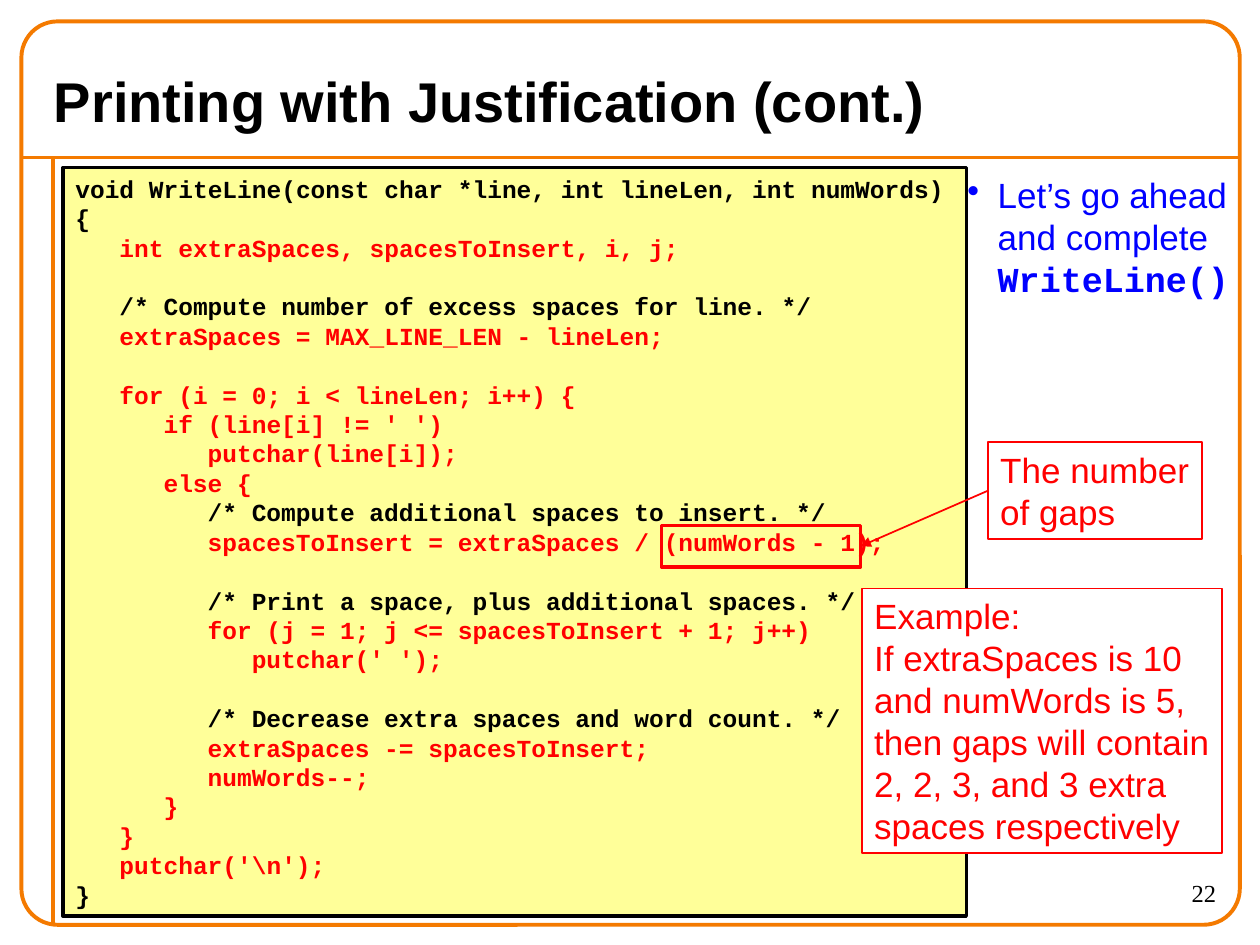
from lxml.etree import SubElement
from pptx import Presentation
from pptx.dml.color import RGBColor
from pptx.enum.shapes import MSO_CONNECTOR as Line, MSO_SHAPE as Preset
from pptx.enum.text import MSO_ANCHOR as Anchor, PP_ALIGN as Align
from pptx.oxml.ns import qn
from pptx.util import Inches, Pt

ORANGE, RED, BLUE = "F47A00", "FF0000", "0000FF"
BLACK, WHITE, YELLOW = "000000", "FFFFFF", "FFFF99"
CODE_STEP = 0.35
TOP, LEFT, MIDDLE, RIGHT = 0, 1, 2, 3

CODE = """void WriteLine(const char *line, int lineLen, int numWords) {
   int extraSpaces, spacesToInsert, i, j;

   /* Compute number of excess spaces for line. */
   extraSpaces = MAX_LINE_LEN - lineLen;

   for (i = 0; i < lineLen; i++) {
      if (line[i] != ' ')
         putchar(line[i]);
      else {
         /* Compute additional spaces to insert. */
         spacesToInsert = extraSpaces / (numWords - 1);

         /* Print a space, plus additional spaces. */
         for (j = 1; j <= spacesToInsert + 1; j++)
            putchar(' ');

         /* Decrease extra spaces and word count. */
         extraSpaces -= spacesToInsert;
         numWords--;
      }
   }
   putchar('\\n');
}"""


def rgb(value):
    return RGBColor.from_string(value)


class SlideBuilder:
    sans, mono, serif = "Arial", "Courier New", "Times New Roman"

    def __init__(self, slide):
        self.slide = slide
        self.shapes = slide.shapes

    def line(self, start, end, color, width):
        connector = self.shapes.add_connector(
            Line.STRAIGHT, *map(Inches, start + end))
        connector.line.color.rgb = rgb(color)
        connector.line.width = Pt(width)
        SubElement(connector._element.spPr, qn("a:effectLst"))
        return connector

    def arrow(self, source, source_side, target, target_side, color):
        connector = self.line((0, 0), (1, 1), color, 1)
        connector.begin_connect(source, source_side)
        connector.end_connect(target, target_side)
        outline = connector.line._get_or_add_ln()
        SubElement(outline, qn("a:tailEnd"), type="triangle")

    def box(self, at, color, width, fill=None, preset=Preset.RECTANGLE):
        box = self.shapes.add_shape(preset, *map(Inches, at))
        box.shadow.inherit = False
        box.line.color.rgb = rgb(color)
        box.line.width = Pt(width)
        if fill:
            box.fill.solid()
            box.fill.fore_color.rgb = rgb(fill)
        else:
            box.fill.background()
        return box

    def frame(self, shape, anchor=Anchor.TOP, wrap=True):
        frame = shape.text_frame
        frame.word_wrap = wrap
        frame.vertical_anchor = anchor
        return frame

    def paragraph(self, frame, text, size, color, font, bold=False,
                  align=Align.LEFT):
        first = frame.paragraphs[0]
        paragraph = frame.add_paragraph() if first.runs else first
        paragraph.alignment = align
        paragraph.line_spacing = Pt(size * 1.2)
        paragraph.font.size = Pt(size)
        paragraph.font.color.rgb = rgb(color)
        paragraph.font.name = font
        paragraph.font.bold = bold
        paragraph.add_run().text = text
        return paragraph

    def label(self, at, text, size, font, anchor=Anchor.TOP, **style):
        area = self.shapes.add_textbox(*map(Inches, at))
        self.paragraph(self.frame(area, anchor), text, size, BLACK, font,
                       **style)

    def bullet(self, at, text, function_name):
        area = self.shapes.add_textbox(*map(Inches, at))
        item = self.paragraph(self.frame(area), text, 20, BLUE, self.sans)
        name = item.add_run()
        name.text = function_name
        name.font.name = self.mono
        name.font.bold = True
        properties = item._p.get_or_add_pPr()
        properties.set("marL", str(Inches(0.24)))
        properties.set("indent", str(Inches(-0.24)))
        mark = SubElement(properties, qn("a:buChar"), char="•")
        properties.find(qn("a:defRPr")).addprevious(mark)

    def code(self, at, source):
        frame = self.frame(self.box(at, BLACK, 2, YELLOW))
        gap = 0
        for row in source.splitlines():
            text = row.strip()
            if not text:
                gap = 16.8
                continue
            depth = (len(row) - len(text)) // 3
            color = BLACK if depth == 0 or text.startswith("/*") else RED
            line = self.paragraph(frame, text, 14, color, self.mono, True)
            line.space_before = Pt(gap)
            line._p.get_or_add_pPr().set(
                "marL", str(Inches(depth * CODE_STEP)))
            gap = 0

    def callout(self, at, rows):
        callout = self.box(at, RED, 1, WHITE)
        frame = self.frame(callout, Anchor.MIDDLE, wrap=False)
        for row in rows:
            self.paragraph(frame, row, 20, RED, self.sans)
        return callout


def main():
    deck = Presentation()
    deck.slide_width, deck.slide_height = Inches(10), Inches(7.5)
    page = SlideBuilder(deck.slides.add_slide(deck.slide_layouts[6]))

    page.line((0.17, 1.25), (9.83, 1.25), ORANGE, 2.25)
    page.line((0.42, 1.25), (0.42, 7.33), ORANGE, 2.25)
    border = page.box((0.17, 0.17, 9.67, 7.17), ORANGE, 2.25,
                      preset=Preset.ROUNDED_RECTANGLE)
    border.adjustments[0] = 0.04

    page.label((8.75, 6.92, 1, 0.42), "22", 14, page.serif,
               align=Align.RIGHT)
    page.label((0.33, 0.42, 9.33, 0.75), "Printing with Justification (cont.)",
               32, page.sans, Anchor.MIDDLE, bold=True)
    page.bullet((7.58, 1.33, 2.58, 6), "Let’s go ahead and complete ",
                "WriteLine()")
    page.code((0.5, 1.33, 7.17, 5.94), CODE)

    gap_count = page.callout((7.84, 3.51, 1.7, 0.77),
                             ["The number", "of gaps"])
    page.callout((6.84, 4.67, 2.86, 2.1), [
        "Example:", "If extraSpaces is 10", "and numWords is 5,",
        "then gaps will contain", "2, 2, 3, and 3 extra",
        "spaces respectively"])
    divisor = page.box((5.25, 4.17, 1.58, 0.33), RED, 2)
    page.arrow(gap_count, LEFT, divisor, RIGHT, RED)

    deck.save("out.pptx")


if __name__ == "__main__":
    main()
